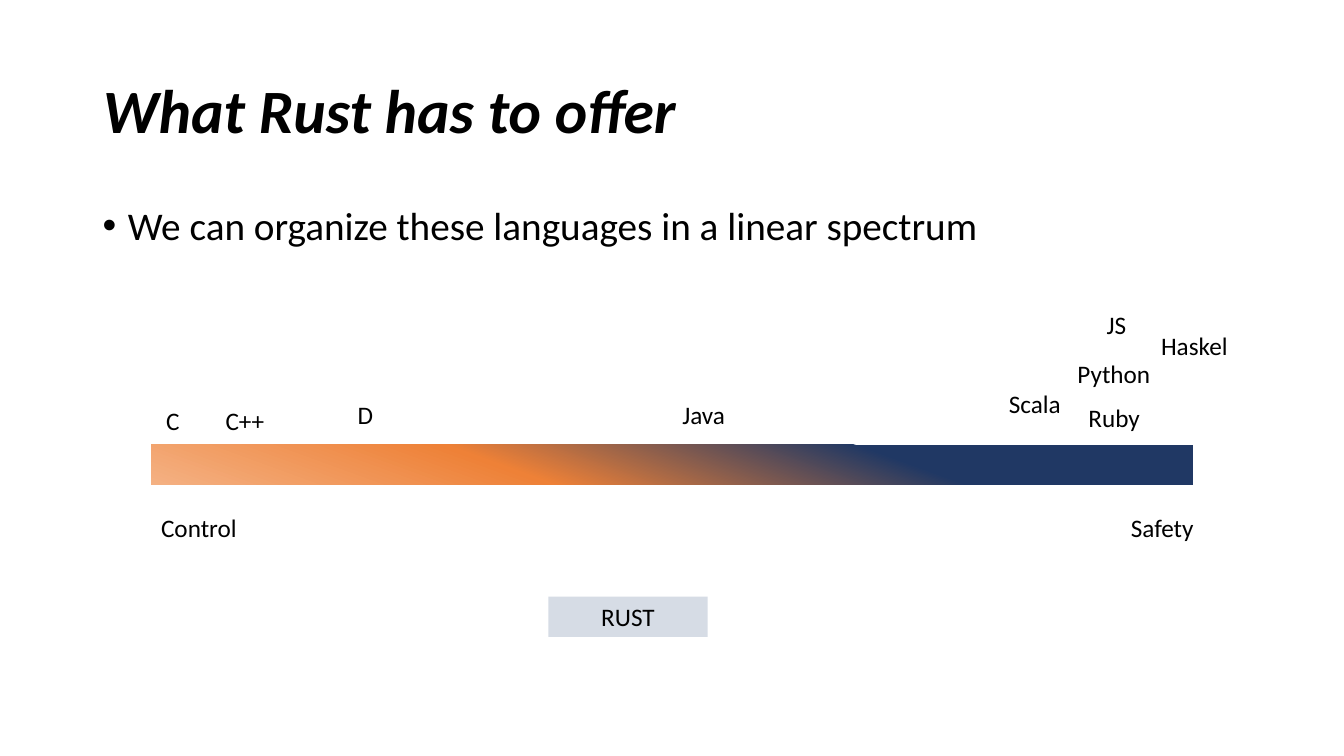
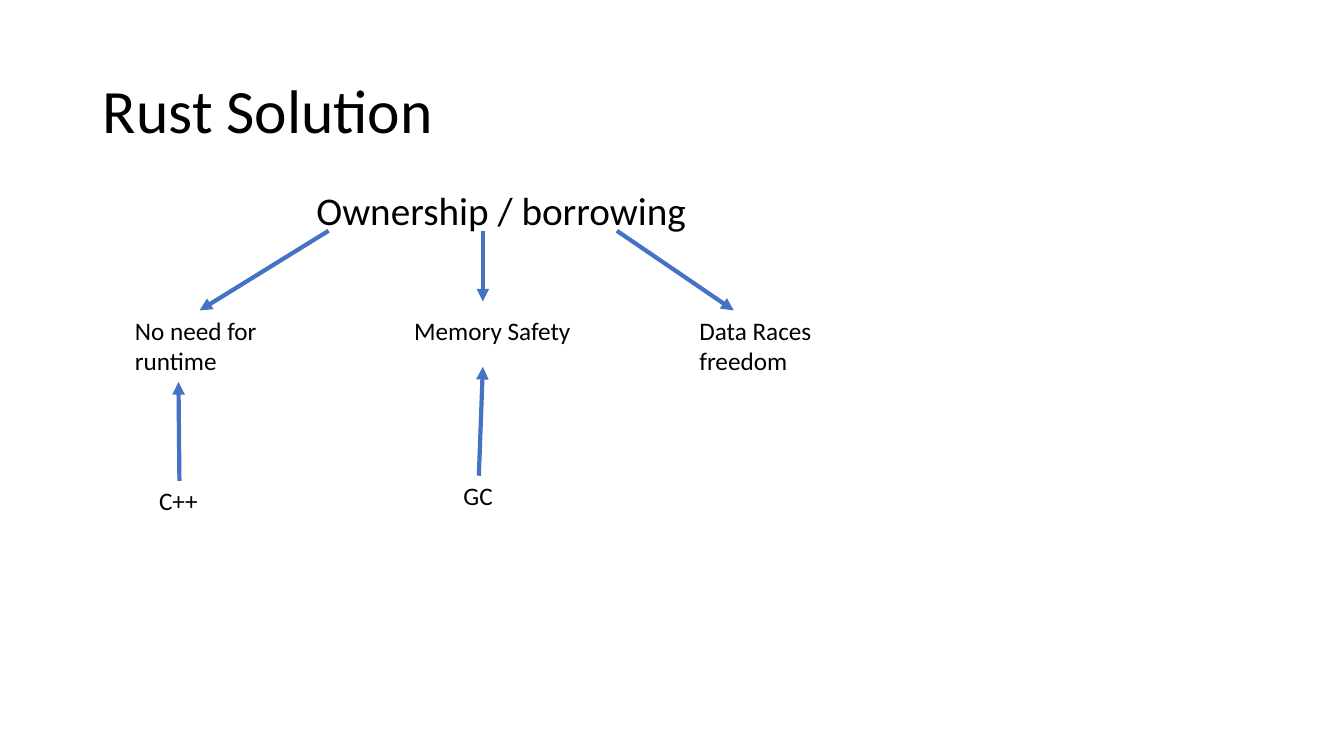
from lxml import etree
from pptx import Presentation
from pptx import util as u
from pptx.dml.color import RGBColor
from pptx.enum import shapes, text
from pptx.oxml.ns import qn

# Shared look
W, H = u.Inches(13.333), u.Inches(7.5)
BLACK = RGBColor(0x00, 0x00, 0x00)
BLUE = RGBColor(0x44, 0x72, 0xC4)
PALE = RGBColor(0xD6, 0xDC, 0xE5)
NAVY = RGBColor(0x20, 0x38, 0x64)
ORANGE = RGBColor(0xEE, 0x81, 0x37)
PEACH = RGBColor(0xF4, 0xB1, 0x83)
LEFT, WIDE = 6.9, 86.25      # margins of the title and the body
LINE_H = 5.33                # height of a one-line label
LABEL = {"size": u.Pt(18)}
BODY = {"size": u.Pt(28)}
TITLE = {"size": u.Pt(44)}

# Slide 1: label, left, top, width in percent of the slide
SPECTRUM = [
    ("Control", 11.25, 67.07, 7.2), ("Safety", 83.4, 67.07, 6.23),
    ("C", 11.63, 52.93, 2.55), ("C++", 16.05, 52.93, 4.43),
    ("D", 25.88, 52.13, 2.7), ("Java", 50.03, 52.13, 4.73),
    ("Python", 79.43, 46.67, 6.98), ("Ruby", 80.25, 52.53, 5.4),
    ("JS", 81.6, 40.27, 3), ("Haskel", 85.65, 43.07, 6.53),
    ("Scala", 74.33, 50.67, 5.4),
]

# Slide 2: labels as above, arrows as from x, y to x, y
BENEFITS = [
    ("No need for\nruntime", 9.3, 41.07, 11.1),
    ("Memory Safety", 30.08, 41.07, 13.28),
    ("Data Races\nfreedom", 51.3, 41.07, 9.83),
    ("C++", 11.1, 63.6, 4.43), ("GC", 33.75, 62.93, 3.75),
]
ARROWS = [
    (13.35, 63.6, 13.28, 50.53), (35.63, 62.93, 35.93, 48.53),
    (24.45, 30.53, 14.85, 41.07), (35.93, 30.53, 35.93, 39.87),
    (45.9, 30.53, 54.6, 41.07),
]


def area(x, y, w, h):
    """Turn percentages of the slide into lengths."""
    return [round(share * full / 100) for share, full in zip((x, y, w, h), (W, H, W, H))]


def write(sp, words, fmt, align=text.PP_ALIGN.LEFT):
    tf = sp.text_frame
    tf.text = words
    for p in tf.paragraphs:
        p.alignment = align
        for r in p.runs:
            r.font.color.rgb = BLACK
            for name, value in {"name": "Calibri", **fmt}.items():
                setattr(r.font, name, value)
    return tf


def add_slide(prs, title, **style):
    s = prs.slides.add_slide(prs.slide_layouts[5])
    sp = s.shapes.title
    sp.left, sp.top, sp.width, sp.height = area(LEFT, 5.33, WIDE, 19.33)
    tf = write(sp, title, {**TITLE, **style})
    tf.auto_size = text.MSO_AUTO_SIZE.NONE
    tf.vertical_anchor = text.MSO_ANCHOR.MIDDLE
    tf.paragraphs[0].line_spacing = 0.9
    return s


def add_body(s, words, box, bullet=False):
    tf = write(s.shapes.add_textbox(*area(*box)), words, BODY)
    tf.word_wrap = True
    p = tf.paragraphs[0]
    p.line_spacing, p.space_before = 0.9, u.Pt(10)
    if bullet:
        pPr = p._p.get_or_add_pPr()
        pPr.set("marL", str(u.Inches(0.25)))
        pPr.set("indent", str(-u.Inches(0.25)))
        etree.SubElement(pPr, qn("a:buFont"), typeface="Arial")
        etree.SubElement(pPr, qn("a:buChar"), char="•")


def add_label(s, words, x, y, w):
    lines = words.count("\n") + 1
    tf = write(s.shapes.add_textbox(*area(x, y, w, LINE_H * lines)), words, LABEL)
    tf.word_wrap = False
    tf.auto_size = text.MSO_AUTO_SIZE.SHAPE_TO_FIT_TEXT


def add_bar(s, box):
    sp = s.shapes.add_shape(shapes.MSO_SHAPE.RECTANGLE, *area(*box))
    sp.shadow.inherit = False
    sp.line.fill.background()
    return sp


def shade(sp, stops, angle):
    """Fill with a gradient of any number of stops."""
    sp.fill.gradient()
    sp.fill.gradient_angle = angle
    gs_list = sp._element.spPr.find(".//" + qn("a:gsLst"))
    for gs in list(gs_list):
        gs_list.remove(gs)
    for percent, color in stops:
        gs = etree.SubElement(gs_list, qn("a:gs"), pos=str(percent * 1000))
        etree.SubElement(gs, qn("a:srgbClr"), val=str(color))


def add_arrow(s, *ends):
    line = s.shapes.add_connector(shapes.MSO_CONNECTOR.STRAIGHT, *area(*ends))
    line.line.color.rgb, line.line.width = BLUE, u.Pt(3)
    etree.SubElement(line.line._get_or_add_ln(), qn("a:tailEnd"), type="triangle")
    etree.SubElement(line._element.spPr, qn("a:effectLst"))


def spectrum_slide(prs):
    s = add_slide(prs, "What Rust has to offer", bold=True, italic=True)
    add_body(s, "We can organize these languages in a linear spectrum",
             (LEFT, 26.67, WIDE, 10.67), bullet=True)
    # Spectrum from control to safety
    bar = add_bar(s, (11.25, 58.8, 77.5, LINE_H))
    bar.rotation = 180
    shade(bar, [(29, NAVY), (65, ORANGE), (100, PEACH)], 70)
    for label in SPECTRUM:
        add_label(s, *label)
    # Rust's own place
    rust = add_bar(s, (40.8, 78.93, 11.85, LINE_H))
    rust.fill.solid()
    rust.fill.fore_color.rgb = PALE
    write(rust, "RUST", LABEL, text.PP_ALIGN.CENTER)


def solution_slide(prs):
    s = add_slide(prs, "Rust Solution")
    add_body(s, "Ownership / borrowing", (22.8, 24.67, 31.8, 8.4))
    for label in BENEFITS:
        add_label(s, *label)
    for ends in ARROWS:
        add_arrow(s, *ends)


def main():
    prs = Presentation()
    prs.slide_width, prs.slide_height = W, H
    spectrum_slide(prs)
    solution_slide(prs)
    prs.save("out.pptx")


if __name__ == "__main__":
    main()
